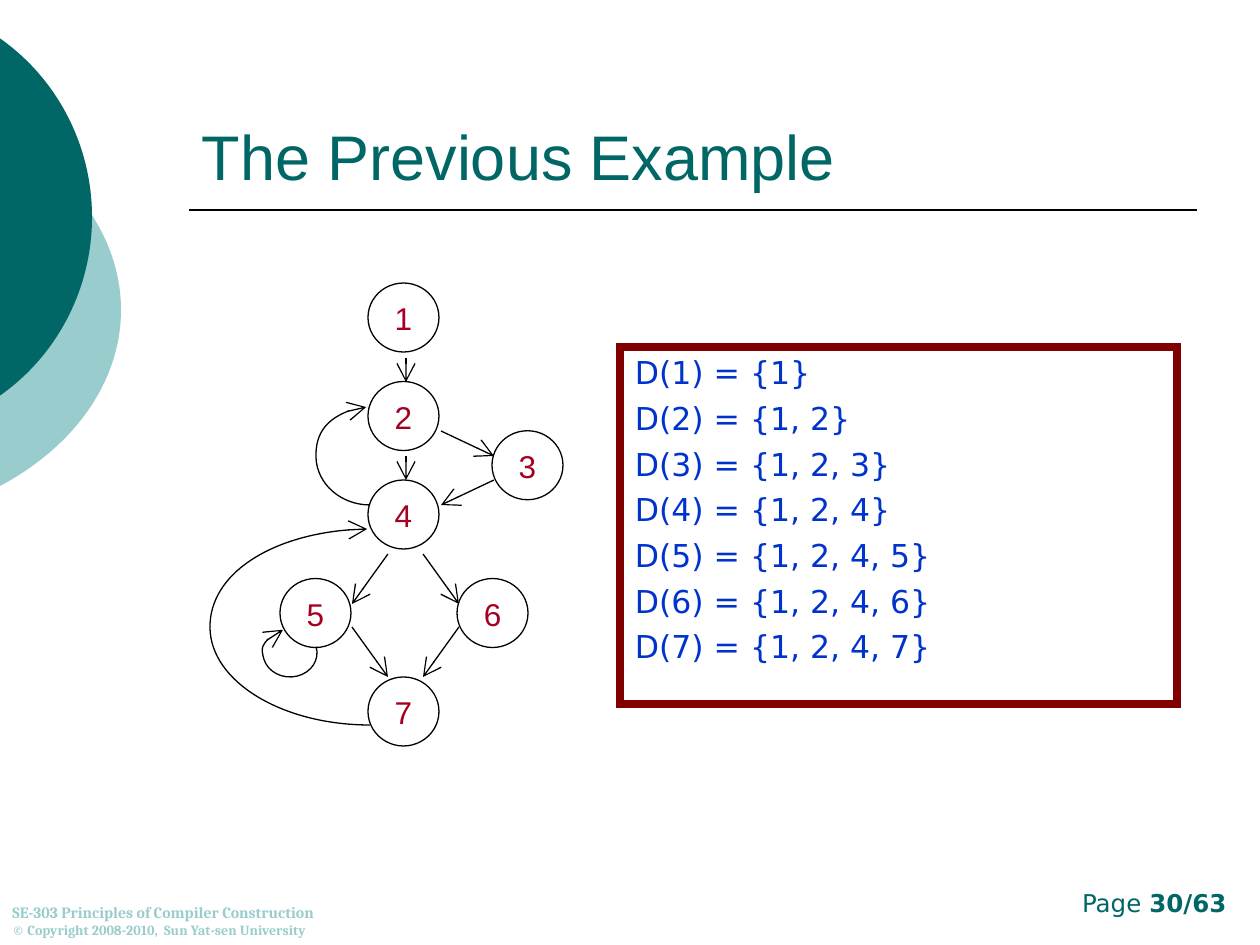
from dataclasses import dataclass
from math import acos, ceil, cos, degrees, radians, sin, tan

from lxml.etree import SubElement as add_sub
from pptx import Presentation as Deck
from pptx.dml.color import RGBColor as Color
from pptx.enum.shapes import MSO_CONNECTOR as Link, MSO_SHAPE as Form
from pptx.enum.text import MSO_ANCHOR as Anchor, PP_ALIGN as Align
from pptx.oxml.ns import qn
from pptx.util import Emu, Pt


@dataclass(frozen=True)
class Theme:
    teal: str = "006666"
    pale: str = "99CCCC"
    ink: str = "000000"
    white: str = "FFFFFF"
    red: str = "A50021"
    maroon: str = "800000"
    blue: str = "0033CC"
    sans: str = "Arial"
    wide: str = "DejaVu Sans"
    serif: str = "Cambria"
    head: int = 36
    body: int = 18
    page: int = 14
    foot: int = 9
    note: int = 8
    thin: float = 0.75
    rule: float = 1
    thick: float = 4.5


THEME = Theme()
NODES = [("1", 158, 0), ("2", 158, 2), ("4", 158, 4), ("3", 282, 3),
         ("5", 70, 6), ("7", 158, 8), ("6", 247, 6)]
EDGES = [(196, 75, 196, 99), (196, 173, 196, 197),
         (178, 271, 142, 321), (213, 271, 249, 321),
         (142, 344, 178, 394), (249, 344, 213, 394),
         (231, 148, 284, 173), (284, 197, 231, 222)]
LOOPS = [(160, 173, 54, 49, 90, 266, 1), (80, 370, 27, 24, -15, 255, 2),
         (160, 344, 160, 98, 90, 269, 1)]
SETS = ["1", "1, 2", "1, 2, 3", "1, 2, 4", "1, 2, 4, 5", "1, 2, 4, 6", "1, 2, 4, 7"]


def px(num):
    return Emu(round(num * 914400 / 126))


def paint(fill, tone):
    fill.solid()
    fill.fore_color.rgb = Color.from_string(tone)


def stroke(shape, tone, width, arrow=False):
    shape.line.color.rgb = Color.from_string(tone)
    shape.line.width = Pt(width)
    line = shape.element.spPr.find(qn("a:ln"))
    if arrow:
        add_sub(line, qn("a:tailEnd"), type="arrow", w="lg", len="lg")
    else:
        add_sub(line, qn("a:miter"), lim="800000")


def style(font, name, size, tone, bold=False):
    font.name, font.size, font.bold = name, Pt(size), bold
    font.color.rgb = Color.from_string(tone)


def add_line(slide, ends, width, arrow=False):
    line = slide.shapes.add_connector(Link.STRAIGHT, *map(px, ends))
    stroke(line, THEME.ink, width, arrow)
    add_sub(line.element.spPr, qn("a:effectLst"))


def add_arc(slide, left, top, arc, close):
    mid, row, wide, high, start, end, span = arc
    count = ceil((end - start) / 90)
    turn = radians(end - start) / count
    pull = 4 / 3 * tan(turn / 4)

    def spot(ang, lean=0):
        return (px(wide * (1 + cos(ang) - lean * sin(ang))),
                px(high * (1 + sin(ang) + lean * cos(ang))))

    angs = [radians(start) + turn * i for i in range(count + 1)]
    draft = slide.shapes.build_freeform(*spot(angs[0]))
    draft.add_line_segments([spot(ang) for ang in angs[1:]], close=close)
    shape = draft.convert_to_shape()
    shape.shadow.inherit = False
    shape.left, shape.top = px(left + mid - wide), px(top + row - high)
    shape.width, shape.height = px(span * wide), px(2 * high)

    trace = shape.element.spPr.find(".//" + qn("a:path"))
    trace.set("w", str(shape.width))
    trace.set("h", str(shape.height))
    for part in list(trace):
        trace.remove(part)
    steps = [("a:moveTo", [spot(angs[0])])]
    steps += [("a:cubicBezTo", [spot(one, pull), spot(two, -pull), spot(two)])
              for one, two in zip(angs, angs[1:])]
    steps += [("a:close", [])] if close else []
    for tag, spots in steps:
        part = add_sub(trace, qn(tag))
        for x, y in spots:
            add_sub(part, qn("a:pt"), x=str(x), y=str(y))
    return shape


def add_text(slide, box):
    frame = slide.shapes.add_textbox(*map(px, box)).text_frame
    frame.word_wrap = True
    return frame


def draw_moons(slide, box):
    left, top = box[:2]
    for mid, row, wide, high, tone in [(-163, 310, 284, 215, THEME.pale),
                                       (-121, 217, 213, 217, THEME.teal)]:
        turn = degrees(acos(-mid / wide))
        moon = add_arc(slide, left, top, (mid, row, wide, high, -turn, turn, 2), True)
        paint(moon.fill, tone)
        moon.line.fill.background()


def draw_title(slide, box):
    left, top, wide, high = box
    title = slide.shapes.title
    title.left, title.top, title.width, title.height = map(px, box)
    frame = title.text_frame
    frame.text = "The Previous Example"
    frame.vertical_anchor = Anchor.BOTTOM
    para = frame.paragraphs[0]
    para.alignment = Align.LEFT
    style(para.font, THEME.sans, THEME.head, THEME.teal)
    base = top + high + 11
    add_line(slide, (left, base, left + wide, base), THEME.rule)


def draw_graph(slide, box):
    left, top, _, high = box
    wide, tall = 71, 69
    step = (high - tall) / 8
    for name, col, row in NODES:
        place = (left + col, top + row * step, wide, tall)
        node = slide.shapes.add_shape(Form.OVAL, *map(px, place))
        node.shadow.inherit = False
        paint(node.fill, THEME.white)
        stroke(node, THEME.ink, THEME.thin)
        frame = node.text_frame
        frame.vertical_anchor = Anchor.TOP
        frame.margin_left = frame.margin_right = 0
        frame.text = name
        para = frame.paragraphs[0]
        para.alignment = Align.CENTER
        style(para.font, THEME.sans, THEME.body, THEME.red)
    for x, y, far, low in EDGES:
        add_line(slide, (left + x, top + y, left + far, top + low), THEME.thin, True)
    for arc in LOOPS:
        loop = add_arc(slide, left, top, arc, False)
        loop.fill.background()
        stroke(loop, THEME.ink, THEME.thin, True)


def draw_sets(slide, box):
    panel = slide.shapes.add_shape(Form.RECTANGLE, *map(px, box))
    panel.shadow.inherit = False
    panel.fill.background()
    stroke(panel, THEME.maroon, THEME.thick)
    frame = panel.text_frame
    frame.word_wrap = True
    frame.vertical_anchor = Anchor.TOP
    frame.margin_left = frame.margin_right = px(15)
    frame.text = "\n".join(f"D({i}) = {{{part}}}" for i, part in enumerate(SETS, 1))
    for i, para in enumerate(frame.paragraphs):
        para.alignment = Align.LEFT
        if i:
            para.space_before = Pt(4.5)
        style(para.font, THEME.wide, THEME.body, THEME.blue)


def draw_page(slide, box):
    para = add_text(slide, box).paragraphs[0]
    para.alignment = Align.RIGHT
    for text, bold in [("Page ", False), ("30/63", True)]:
        run = para.add_run()
        run.text = text
        style(run.font, THEME.wide, THEME.page, THEME.teal, bold)


def draw_foot(slide, box):
    frame = add_text(slide, box)
    frame.vertical_anchor = Anchor.BOTTOM
    frame.text = ("SE-303 Principles of Compiler Construction\n"
                  "© Copyright 2008-2010,  Sun Yat-sen University")
    for para, size in zip(frame.paragraphs, (THEME.foot, THEME.note)):
        style(para.font, THEME.serif, size, THEME.pale, True)


def main():
    deck = Deck()
    deck.slide_width, deck.slide_height = px(1260), px(945)
    slide = deck.slides.add_slide(deck.slide_layouts[5])
    draw_moons(slide, (0, 0, 121, 486))
    draw_title(slide, (189, 41, 1008, 158))
    draw_page(slide, (955, 882, 284, 42))
    draw_graph(slide, (210, 283, 354, 463))
    draw_sets(slide, (620, 347, 557, 357))
    draw_foot(slide, (0, 882, 431, 63))
    deck.save("out.pptx")


if __name__ == "__main__":
    main()
